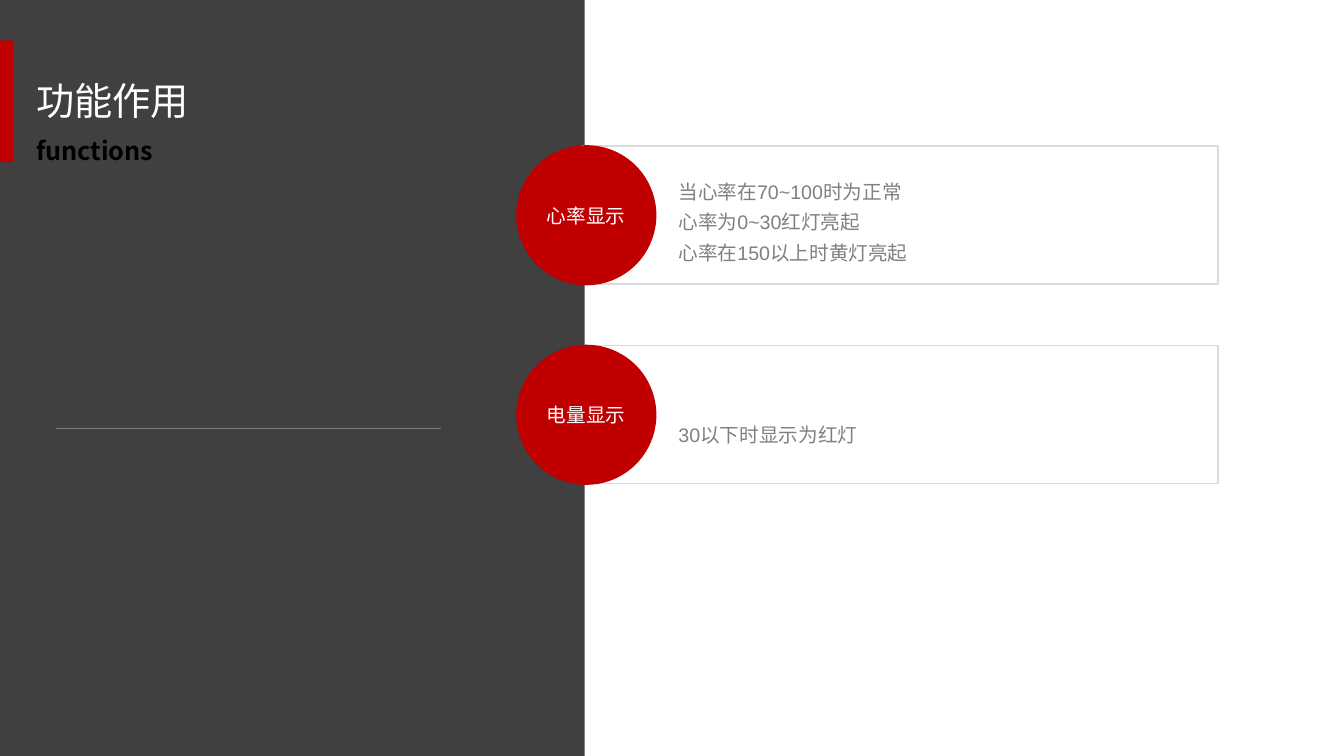
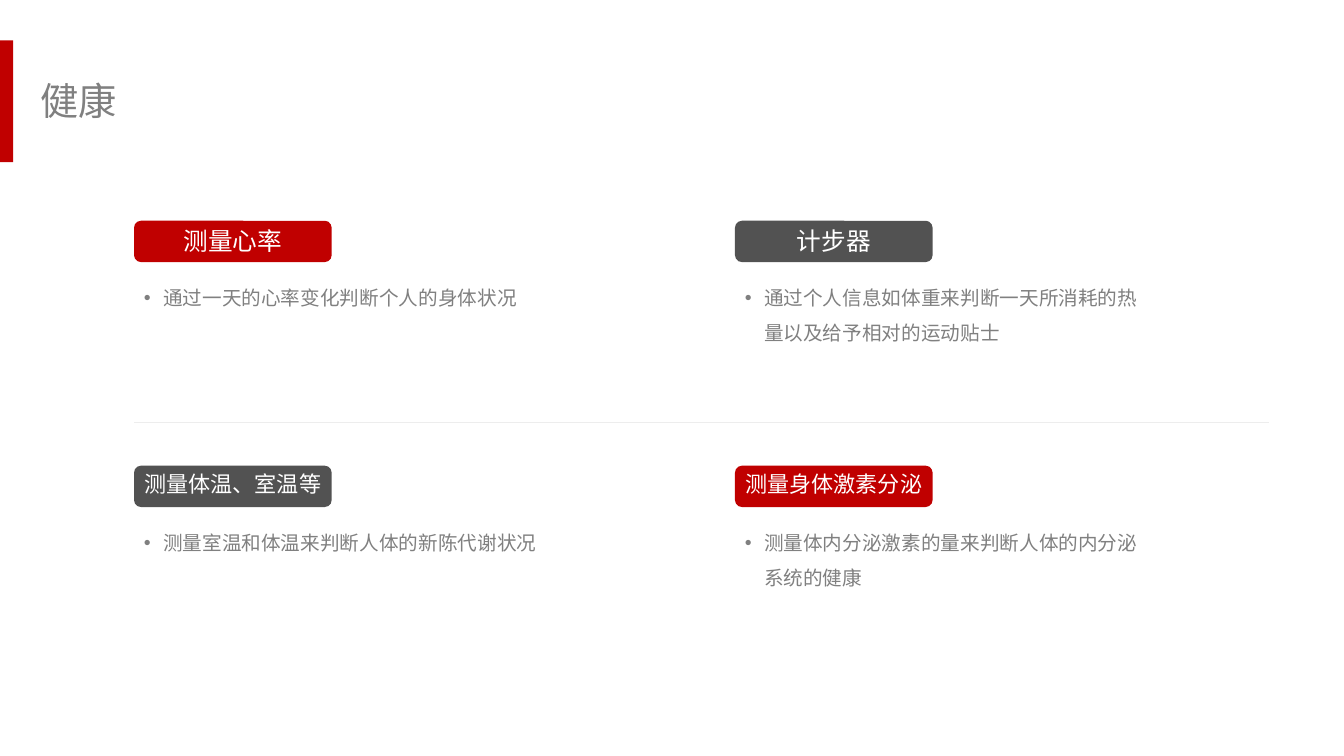
from lxml import etree
from pptx import Presentation
from pptx.dml.color import RGBColor
from pptx.enum.shapes import MSO_CONNECTOR, MSO_SHAPE
from pptx.enum.text import MSO_ANCHOR, MSO_AUTO_SIZE, PP_ALIGN
from pptx.oxml.ns import qn
from pptx.util import Emu, Pt

RECTANGLE, OVAL, ROUNDED = MSO_SHAPE.RECTANGLE, MSO_SHAPE.OVAL, MSO_SHAPE.ROUNDED_RECTANGLE
STRAIGHT = MSO_CONNECTOR.STRAIGHT
TOP, MIDDLE = MSO_ANCHOR.TOP, MSO_ANCHOR.MIDDLE
LEFT, CENTER = PP_ALIGN.LEFT, PP_ALIGN.CENTER
NO_AUTOFIT = MSO_AUTO_SIZE.NONE

EMU_PER_PX = 9144  # 100 px to the inch
WIDTH, HEIGHT = 1333, 750
TITLE_ONLY = 5

RED, CHARCOAL, SLATE = "C00000", "404040", "525252"
GRAY, WHITE, BLACK = "808080", "FFFFFF", "000000"
CARD_BORDER, PANEL_RULE, PALE_RULE = "DBDBDB", "7C7C7C", "EDEDED"
BODY_FONT, HEADING_FONT = "Arial", "Noto Sans CJK SC"


def px(length):
    return Emu(length * EMU_PER_PX)


def color(hex_value):
    return RGBColor.from_string(hex_value)


def set_attributes(target, values):
    for name, value in values.items():
        setattr(target, name, value)


class Deck:
    """Holds the shared style and the current slide."""

    def __init__(self):
        self.presentation = Presentation()
        set_attributes(self.presentation,
                       {"slide_width": px(WIDTH), "slide_height": px(HEIGHT)})
        self.slide = None

    def new_slide(self):
        layout = self.presentation.slide_layouts[TITLE_ONLY]
        self.slide = self.presentation.slides.add_slide(layout)

    def title(self, text, left, hex_color):
        """Accent bar and title, placed above everything drawn so far."""
        self.shape(RECTANGLE, 0, 40, 13, 121, RED)
        title = self.slide.shapes.title
        box = {"left": left, "top": 72, "width": 351, "height": 57}
        set_attributes(title, {name: px(length) for name, length in box.items()})
        self.set_text(title, [text], 27.3, hex_color)
        title.element.getparent().append(title.element)

    def shape(self, kind, left, top, width, height, fill, border=None):
        shape = self.slide.shapes.add_shape(kind, px(left), px(top), px(width), px(height))
        shape.shadow.inherit = False
        shape.fill.solid()
        shape.fill.fore_color.rgb = color(fill)
        if border:
            shape.line.color.rgb = color(border)
            shape.line.width = Pt(1)
        else:
            shape.line.fill.background()
        return shape

    def rule(self, left, right, top, hex_color):
        line = self.slide.shapes.add_connector(STRAIGHT, px(left), px(top), px(right), px(top))
        line.line.color.rgb = color(hex_color)
        line.line.width = Pt(0.5)
        etree.SubElement(line.element.spPr, qn("a:effectLst"))

    def text(self, left, top, width, height, lines, size, hex_color, **options):
        box = self.slide.shapes.add_textbox(px(left), px(top), px(width), px(height))
        self.set_text(box, lines, size, hex_color, **options)

    def set_text(self, shape, lines, size, hex_color, align=LEFT, anchor=TOP, spacing=1.0,
                 font=BODY_FONT, bold=False, bullet=False, wrap=True, inset=5):
        frame = shape.text_frame
        set_attributes(frame, {
            "auto_size": NO_AUTOFIT, "word_wrap": wrap, "vertical_anchor": anchor,
            "margin_left": px(10), "margin_right": px(10),
            "margin_top": px(inset), "margin_bottom": px(inset)})
        for index, line in enumerate(lines):
            paragraph = frame.add_paragraph() if index else frame.paragraphs[0]
            set_attributes(paragraph, {"alignment": align, "line_spacing": spacing})
            if bullet:
                self.add_bullet(paragraph)
            run = paragraph.add_run()
            run.text = line
            set_attributes(run.font, {"name": font, "size": Pt(size), "bold": bold})
            run.font.color.rgb = color(hex_color)
            east_asian = etree.Element(qn("a:ea"), typeface=font)
            run.font._element.find(qn("a:latin")).addnext(east_asian)

    @staticmethod
    def add_bullet(paragraph):
        properties = paragraph._p.get_or_add_pPr()
        properties.set("marL", str(px(19)))
        properties.set("indent", str(-px(19)))
        etree.SubElement(properties, qn("a:buFont"), typeface=BODY_FONT)
        etree.SubElement(properties, qn("a:buChar"), char="•")

    def card(self, top, label, lines, text_top):
        """Outlined card with a round label on its left edge."""
        self.shape(RECTANGLE, 577, top + 1, 631, 137, WHITE, CARD_BORDER)
        circle = self.shape(OVAL, 512, top, 139, 139, RED)
        self.set_text(circle, [label], 14, WHITE, align=CENTER, anchor=MIDDLE)
        self.text(663, text_top, 508, 135, lines, 14, GRAY, anchor=MIDDLE, spacing=1.3)

    def topic(self, left, top, label, size, fill, detail):
        """Rounded heading with one bullet below."""
        heading = self.shape(ROUNDED, left, top, 196, 41, fill)
        self.set_text(heading, [label], size, WHITE, align=CENTER, wrap=False, inset=3)
        self.text(left, top + 48, 417, 112, [detail], 14, GRAY, spacing=1.5, bullet=True)


def functions_slide(deck):
    deck.new_slide()
    # Dark side panel
    deck.shape(RECTANGLE, 0, 0, 580, HEIGHT, CHARCOAL)
    deck.rule(56, 437, 425, PANEL_RULE)
    deck.title("功能作用", 26, WHITE)
    deck.text(26, 129, 240, 40, ["functions"], 18, BLACK, font=HEADING_FONT, bold=True)
    # Cards
    deck.card(144, "心率显示",
              ["当心率在70~100时为正常", "心率为0~30红灯亮起", "心率在150以上时黄灯亮起"], 149)
    deck.card(342, "电量显示", ["30以下时显示为红灯"], 360)


def health_slide(deck):
    deck.new_slide()
    deck.title("健康", 30, GRAY)
    deck.rule(133, 1259, 419, PALE_RULE)
    # Two by two grid of topics
    topics = [
        ("测量心率", 17.6, RED, "通过一天的心率变化判断个人的身体状况"),
        ("计步器", 17.6, SLATE, "通过个人信息如体重来判断一天所消耗的热量以及给予相对的运动贴士"),
        ("测量体温、室温等", 15.8, SLATE, "测量室温和体温来判断人体的新陈代谢状况"),
        ("测量身体激素分泌", 15.8, RED, "测量体内分泌激素的量来判断人体的内分泌系统的健康"),
    ]
    for index, topic in enumerate(topics):
        row, column = divmod(index, 2)
        deck.topic(133 + column * 596, 219 + row * 243, *topic)


def main():
    deck = Deck()
    functions_slide(deck)
    health_slide(deck)
    deck.presentation.save("out.pptx")


if __name__ == "__main__":
    main()
